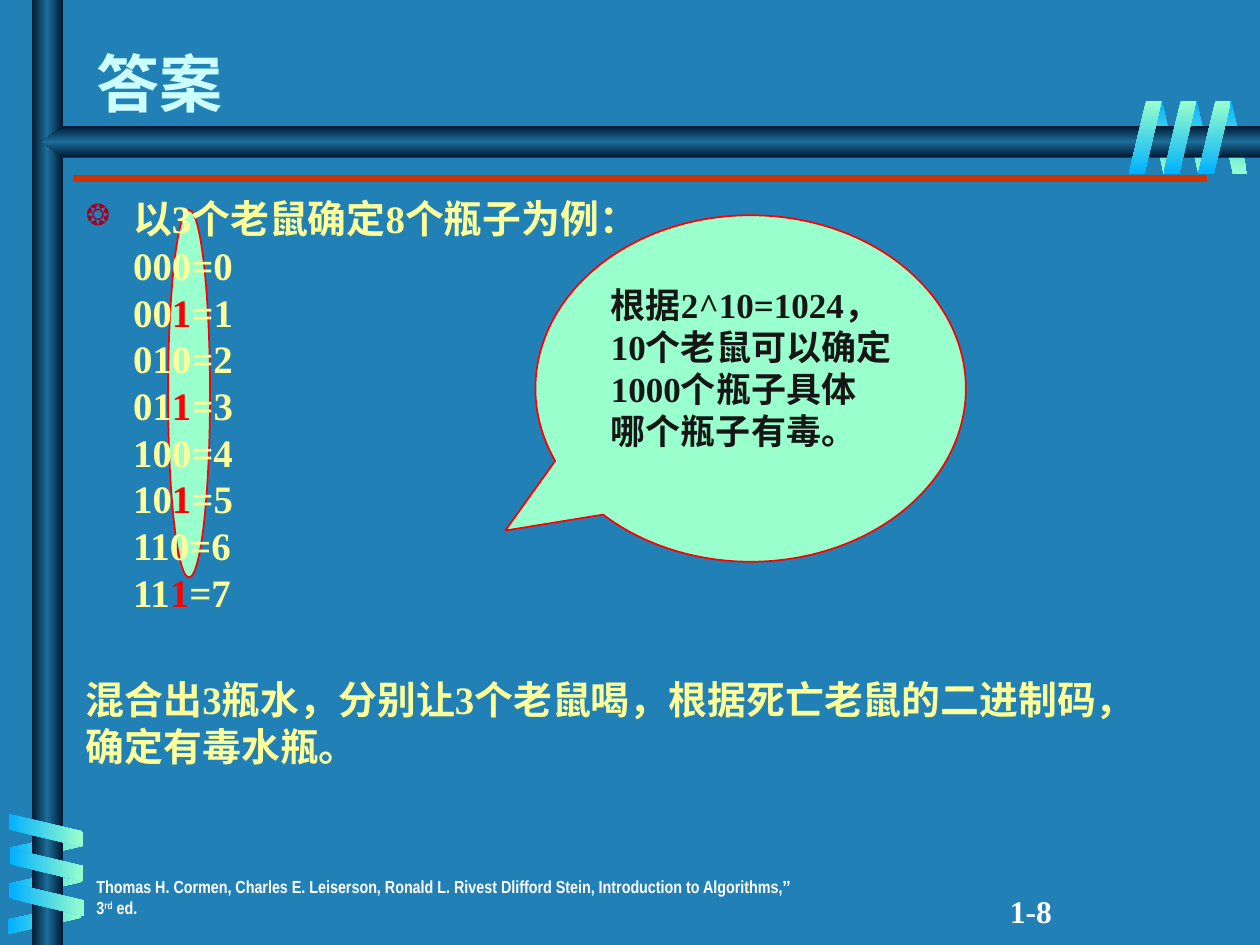
"""Builds the answer slide on finding a poisoned bottle with binary codes."""
import pptx
import pptx.dml.color
import pptx.enum.shapes
import pptx.enum.text
import pptx.oxml
import pptx.oxml.ns
import pptx.util
from lxml import etree

Pt = pptx.util.Pt
SHAPE = pptx.enum.shapes.MSO_SHAPE
ANCHOR = pptx.enum.text.MSO_ANCHOR
SERIF, NARROW = "Times New Roman", "Arial Narrow"
SKY, MINT, NAVY, STEEL = "01B0FF", "99FFCC", "001932", "1C6D9A"
YELLOW, RED, WHITE = "FFFF99", "FF0000", "FFFFFF"

TITLE = "答案"
INTRO = "以3个老鼠确定8个瓶子为例："
CONCLUSION = "混合出3瓶水，分别让3个老鼠喝，根据死亡老鼠的二进制码，确定有毒水瓶。"
CALLOUT = ["根据2^10=1024，", "10个老鼠可以确定", "1000个瓶子具体", "哪个瓶子有毒。"]
CITATION = [
    ("Thomas H. Cormen, Charles E. Leiserson, Ronald L. Rivest Dlifford Stein, "
     "Introduction to Algorithms,", NARROW, 0),
    ("”", "Arial", 0),
    (" 3", NARROW, 0),
    ("rd", NARROW, 30000),
    (" ed.", NARROW, 0),
]
PAGE = "1-8"
MICE = 3

BACK_COILS = [
    dict(start=(695.5, 57.6), step=(-19.8, 0), width=17.3, turn=180, flip=True,
         colors=(SKY, MINT), angle=90),
    dict(start=(18, 463), step=(-0.5, 20.5), width=17.3, turn=90, flip=True,
         colors=(MINT, SKY), angle=0),
]
FRONT_COILS = [
    dict(start=(16.6, 453.6), step=(0.7, 19.8), width=18.7, turn=270, flip=False,
         colors=(SKY, MINT), angle=0),
    dict(start=(684.7, 57.6), step=(-19.8, 0), width=18.7, turn=0, flip=False,
         colors=(MINT, SKY), angle=90),
]
COIL_HEIGHT, COIL_TURNS = 41.8, 3


def rgb(color):
    return pptx.dml.color.RGBColor.from_string(color)


def add_shape(slide, kind, box, fill=None, line=None):
    shape = slide.shapes.add_shape(kind, *map(Pt, box))
    shape.shadow.inherit = False
    if fill:
        shape.fill.solid()
        shape.fill.fore_color.rgb = rgb(fill)
    if line:
        shape.line.color.rgb = rgb(line)
        shape.line.width = Pt(1)
    else:
        shape.line.fill.background()
    return shape


def shade(shape, colors, angle):
    stops = "".join(
        f'<a:gs pos="{100000 * i // (len(colors) - 1)}"><a:srgbClr val="{color}"/></a:gs>'
        for i, color in enumerate(colors))
    gradient = pptx.oxml.parse_xml(
        f'<a:gradFill {pptx.oxml.ns.nsdecls("a")} rotWithShape="0"><a:gsLst>{stops}</a:gsLst>'
        f'<a:lin ang="{angle * 60000}" scaled="0"/></a:gradFill>')
    shape._element.spPr.find(pptx.oxml.ns.qn("a:prstGeom")).addnext(gradient)


def flip(shape):
    shape._element.spPr.xfrm.set("flipH", "1")


def add_coils(slide, coils):
    for coil in coils:
        (x, y), (dx, dy) = coil["start"], coil["step"]
        for i in range(COIL_TURNS):
            box = (x + i * dx, y + i * dy, coil["width"], COIL_HEIGHT)
            band = add_shape(slide, SHAPE.PARALLELOGRAM, box)
            band.adjustments[0] = 0.53
            band.rotation = coil["turn"]
            if coil["flip"]:
                flip(band)
            shade(band, coil["colors"], coil["angle"])


def add_run(paragraph, text, size, color, font=SERIF):
    run = paragraph.add_run()
    run.text = text
    run.font.size = Pt(size)
    run.font.name = font
    run.font.bold = True
    run.font.color.rgb = rgb(color)
    return run


def add_text_box(slide, box):
    frame = slide.shapes.add_textbox(*map(Pt, box)).text_frame
    frame.word_wrap = True
    return frame


def add_bullet(paragraph):
    properties = paragraph._p.get_or_add_pPr()
    properties.set("marL", str(Pt(27)))
    properties.set("indent", str(-Pt(27)))
    qn = pptx.oxml.ns.qn
    bullet_color = etree.SubElement(properties, qn("a:buClr"))
    etree.SubElement(bullet_color, qn("a:srgbClr"), val="A50021")
    etree.SubElement(properties, qn("a:buSzPct"), val="75000")
    etree.SubElement(properties, qn("a:buChar"), char="❂")


def add_frame(slide):
    add_coils(slide, BACK_COILS)
    pillar = add_shape(slide, SHAPE.RECTANGLE, (18, 0, 18, 540))
    shade(pillar, (NAVY, STEEL, NAVY), 0)
    beam = add_shape(slide, SHAPE.PENTAGON, (24, 72, 696, 18))
    beam.adjustments[0] = 0.68
    flip(beam)
    shade(beam, (NAVY, STEEL, NAVY), 90)
    add_coils(slide, FRONT_COILS)
    rule = slide.shapes.add_connector(
        pptx.enum.shapes.MSO_CONNECTOR.STRAIGHT, Pt(42), Pt(102), Pt(690), Pt(102))
    rule.line.color.rgb = rgb("CC3300")
    rule.line.width = Pt(4.5)
    etree.SubElement(rule._element.spPr, pptx.oxml.ns.qn("a:effectLst"))


def add_title(slide):
    title = slide.shapes.title
    title.left, title.top, title.width, title.height = map(Pt, (48, 6, 612, 66))
    frame = title.text_frame
    frame.auto_size = pptx.enum.text.MSO_AUTO_SIZE.NONE
    frame.vertical_anchor = ANCHOR.BOTTOM
    frame.paragraphs[0].alignment = pptx.enum.text.PP_ALIGN.LEFT
    add_run(frame.paragraphs[0], TITLE, 36, "CCFFFF")


def add_body(slide):
    size = 22.2
    frame = add_text_box(slide, (42, 108, 612, 324))
    codes = frame.paragraphs[0]
    add_bullet(codes)
    add_run(codes, INTRO, size, YELLOW)
    for number in range(2 ** MICE):
        code = f"{number:0{MICE}b}"
        codes.add_line_break()
        add_run(codes, code[:-1], size, YELLOW)
        add_run(codes, code[-1], size, RED if code[-1] == "1" else YELLOW)
        add_run(codes, f"={number}", size, YELLOW)
    conclusion = frame.add_paragraph()
    conclusion.space_before = Pt(35)
    add_run(conclusion, CONCLUSION, size, YELLOW)


def add_callout(slide):
    callout = add_shape(slide, SHAPE.OVAL_CALLOUT, (306, 123, 246, 198), MINT, RED)
    callout.adjustments[0], callout.adjustments[1] = -0.57, 0.41
    frame = callout.text_frame
    frame.word_wrap = False
    frame.vertical_anchor = ANCHOR.MIDDLE
    frame.margin_bottom = Pt(27.6)
    for i, text in enumerate(CALLOUT):
        line = frame.add_paragraph() if i else frame.paragraphs[0]
        line.alignment = pptx.enum.text.PP_ALIGN.LEFT
        add_run(line, text, 20, "161616")


def add_footer(slide):
    citation = add_text_box(slide, (48, 497, 414, 24)).paragraphs[0]
    for text, font, raised in CITATION:
        run = add_run(citation, text, 10, WHITE, font)
        if raised:
            run.font._element.set("baseline", str(raised))
    page = add_text_box(slide, (570, 506, 150, 24)).paragraphs[0]
    add_run(page, PAGE, 18, WHITE)


def main():
    deck = pptx.Presentation()
    deck.slide_width, deck.slide_height = Pt(720), Pt(540)
    slide = deck.slides.add_slide(deck.slide_layouts[5])
    slide.background.fill.solid()
    slide.background.fill.fore_color.rgb = rgb("2181B7")
    add_frame(slide)
    add_footer(slide)
    add_title(slide)
    add_shape(slide, SHAPE.OVAL, (96, 120, 24, 210), MINT, RED)
    add_body(slide)
    add_callout(slide)
    deck.save("out.pptx")


if __name__ == "__main__":
    main()
